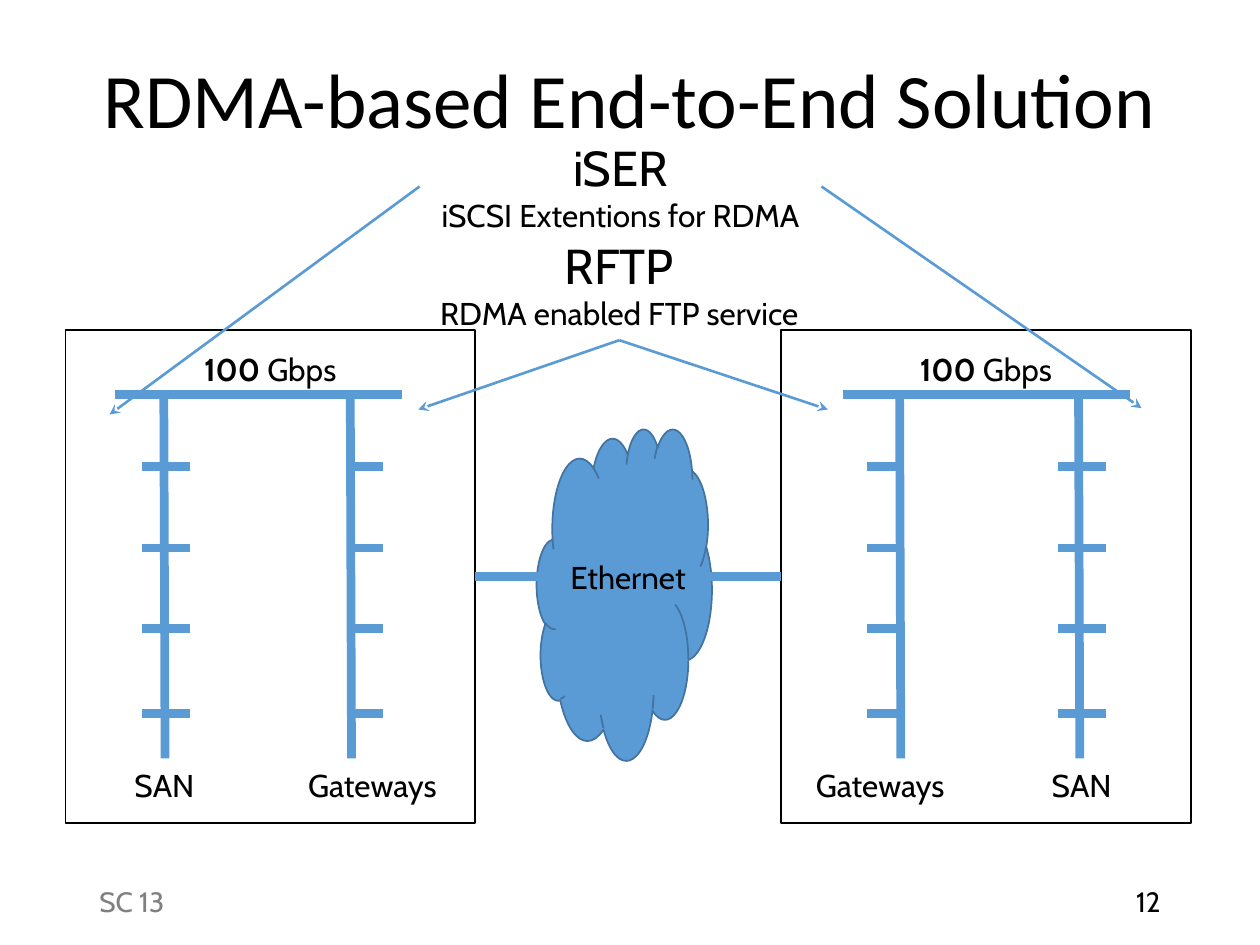
from dataclasses import dataclass

from lxml.etree import SubElement
from pptx import Presentation
from pptx.dml.color import RGBColor
from pptx.enum.shapes import MSO_CONNECTOR, MSO_SHAPE
from pptx.enum.text import MSO_ANCHOR, MSO_AUTO_SIZE, PP_ALIGN
from pptx.oxml.ns import qn
from pptx.shapes.autoshape import Shape
from pptx.shapes.connector import Connector
from pptx.slide import Slide
from pptx.util import Inches, Pt

BLUE = "5B9BD5"
BLACK = "000000"
TOP_BUS_Y = 3.13
TRUNK_BOTTOM = 6.02
TICK_ROWS = (3.7, 4.35, 4.99, 5.66)
SITE_TOP, SITE_WIDTH, SITE_HEIGHT = 2.62, 3.25, 3.91
LABEL_HEIGHT = 0.4


@dataclass(frozen=True)
class Run:
    text: str
    size: float = 18
    bold: bool = False
    color: str = BLACK
    font: str = "Cabin"


@dataclass(frozen=True)
class Trunk:
    x: float
    tick_left: float
    tick_right: float
    label: str
    label_left: float
    label_width: float


@dataclass(frozen=True)
class Site:
    left: float
    bus_left: float
    speed_left: float
    trunks: tuple[Trunk, ...]


SITES = (
    Site(0.52, 0.91, 0.86, (
        Trunk(1.3, 1.13, 1.51, "SAN", 0.83, 0.95),
        Trunk(2.78, 2.78, 3.04, "Gateways", 1.94, 2.03),
    )),
    Site(6.2, 6.69, 6.54, (
        Trunk(7.14, 6.88, 7.15, "Gateways", 5.97, 2.03),
        Trunk(8.56, 8.4, 8.78, "SAN", 8.11, 0.95),
    )),
)


def rgb(color: str) -> RGBColor:
    return RGBColor.from_string(color)


def add_text(slide: Slide, left: float, top: float, width: float, height: float,
             lines: list[list[Run]], align: PP_ALIGN = PP_ALIGN.CENTER,
             anchor: MSO_ANCHOR = MSO_ANCHOR.TOP, grow: bool = True) -> Shape:
    box = slide.shapes.add_textbox(Inches(left), Inches(top), Inches(width), Inches(height))
    text_frame = box.text_frame
    text_frame.word_wrap = True
    text_frame.vertical_anchor = anchor
    text_frame.auto_size = MSO_AUTO_SIZE.SHAPE_TO_FIT_TEXT if grow else MSO_AUTO_SIZE.NONE
    for index, line in enumerate(lines):
        paragraph = text_frame.add_paragraph() if index else text_frame.paragraphs[0]
        paragraph.alignment = align
        for item in line:
            run = paragraph.add_run()
            run.text = item.text
            run.font.name = item.font
            run.font.size = Pt(item.size)
            run.font.bold = item.bold
            run.font.color.rgb = rgb(item.color)
    return box


def add_shape(slide: Slide, preset: MSO_SHAPE, left: float, top: float, width: float,
              height: float, line_color: str, fill_color: str | None = None) -> Shape:
    shape = slide.shapes.add_shape(preset, Inches(left), Inches(top), Inches(width), Inches(height))
    shape.shadow.inherit = False
    if fill_color:
        shape.fill.solid()
        shape.fill.fore_color.rgb = rgb(fill_color)
    else:
        shape.fill.background()
    shape.line.color.rgb = rgb(line_color)
    shape.line.width = Pt(1)
    return shape


def add_line(slide: Slide, x1: float, y1: float, x2: float, y2: float,
             width: float = 5, arrow: bool = False) -> Connector:
    connector = slide.shapes.add_connector(
        MSO_CONNECTOR.STRAIGHT, Inches(x1), Inches(y1), Inches(x2), Inches(y2))
    connector.line.color.rgb = rgb(BLUE)
    connector.line.width = Pt(width)
    properties = connector._element.spPr
    if arrow:
        SubElement(properties.find(qn("a:ln")), qn("a:tailEnd"), type="stealth")
    SubElement(properties, qn("a:effectLst"))
    return connector


def add_site(slide: Slide, site: Site) -> Shape:
    for trunk in site.trunks:
        add_line(slide, trunk.x, TOP_BUS_Y, trunk.x + 0.01, TRUNK_BOTTOM)
        for y in TICK_ROWS:
            add_line(slide, trunk.tick_left, y, trunk.tick_right, y)
        add_text(slide, trunk.label_left, 6.03, trunk.label_width, LABEL_HEIGHT,
                 [[Run(trunk.label)]])
    add_line(slide, site.bus_left, TOP_BUS_Y, site.bus_left + 2.28, TOP_BUS_Y)
    frame = add_shape(slide, MSO_SHAPE.RECTANGLE, site.left, SITE_TOP,
                      SITE_WIDTH, SITE_HEIGHT, BLACK)
    add_text(slide, site.speed_left, 2.73, 2.57, LABEL_HEIGHT,
             [[Run("100 ", bold=True), Run("Gbps")]])
    return frame


def add_protocol(slide: Slide, left: float, top: float, name: str, description: str) -> Shape:
    return add_text(slide, left, top, 3.19, 0.88, [[Run(name, 28)], [Run(description)]])


def main() -> None:
    presentation = Presentation()
    presentation.slide_width = Inches(10)
    presentation.slide_height = Inches(7.5)
    slide = presentation.slides.add_slide(presentation.slide_layouts[6])

    add_shape(slide, MSO_SHAPE.CLOUD, 4.26, 3.4, 1.39, 2.63, "43739E", BLUE)
    title = add_text(slide, 0.69, 0.1, 8.62, 1.45,
                     [[Run("RDMA-based End-to-End Solution", 44, font="Calibri")]],
                     anchor=MSO_ANCHOR.MIDDLE, grow=False)
    title.text_frame.paragraphs[0].line_spacing = 0.9
    add_text(slide, 0.69, 6.95, 3.38, LABEL_HEIGHT, [[Run("SC 13", 16, color="808080")]],
             PP_ALIGN.LEFT, MSO_ANCHOR.MIDDLE, grow=False)
    add_text(slide, 7.06, 6.95, 2.25, LABEL_HEIGHT, [[Run("12", 16)]],
             PP_ALIGN.RIGHT, MSO_ANCHOR.MIDDLE, grow=False)

    left_site, right_site = [add_site(slide, site) for site in SITES]
    ethernet_link = add_line(slide, 3.77, 4.57, 6.2, 4.57)
    ethernet_link.begin_connect(left_site, 3)
    ethernet_link.end_connect(right_site, 1)
    add_text(slide, 3.7, 4.38, 2.57, LABEL_HEIGHT, [[Run("Ethernet")]])

    iser = add_protocol(slide, 3.33, 1.04, "iSER", "iSCSI Extentions for RDMA")
    rftp = add_protocol(slide, 3.32, 1.82, "RFTP", "RDMA enabled FTP service")
    for source, side, x1, y1, x2, y2 in (
        (iser, 3, 6.52, 1.48, 9.06, 3.24),
        (iser, 1, 3.33, 1.48, 0.87, 3.29),
        (rftp, 2, 4.92, 2.69, 3.32, 3.25),
        (rftp, 2, 4.92, 2.69, 6.57, 3.25),
    ):
        arrow = add_line(slide, x1, y1, x2, y2, 1.5, arrow=True)
        arrow.begin_connect(source, side)

    presentation.save("out.pptx")


if __name__ == "__main__":
    main()
